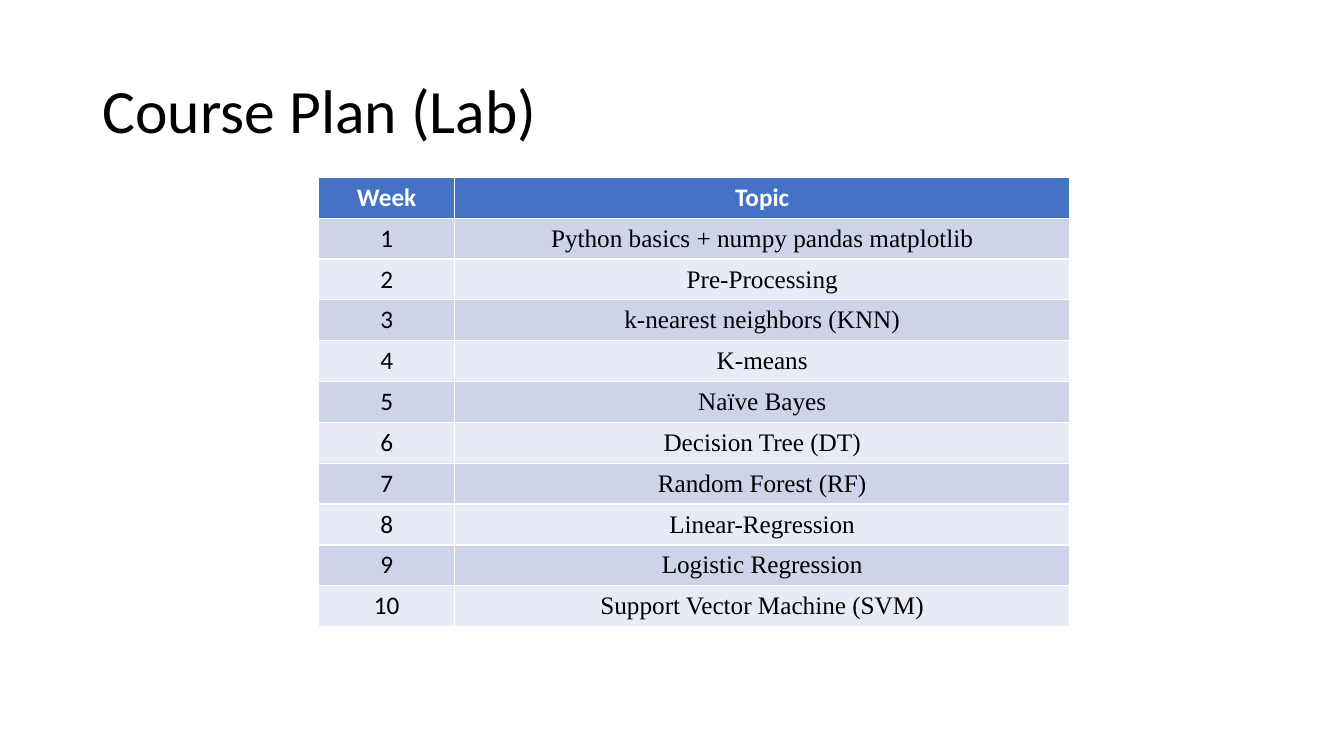
from pptx import Presentation
from pptx.dml.color import RGBColor
from pptx.enum.text import MSO_ANCHOR, PP_ALIGN
from pptx.util import Inches, Pt

TOPICS = [
    "Python basics + numpy pandas matplotlib",
    "Pre-Processing",
    "k-nearest neighbors (KNN)",
    "K-means",
    "Naïve Bayes",
    "Decision Tree (DT)",
    "Random Forest (RF)",
    "Linear-Regression",
    "Logistic Regression",
    "Support Vector Machine (SVM)",
]


def rgb(value):
    return RGBColor.from_string(value)


class SlideBuilder:
    sans = "Calibri"
    serif = "Times New Roman"
    black = "000000"
    white = "FFFFFF"
    header = "4472C4"
    bands = ("CDD4EA", "E8EBF5")

    def __init__(self, slide):
        self.slide = slide

    def add_text(self, tf, text, color, para, **font):
        p = tf.paragraphs[0]
        r = p.add_run()
        r.text = text
        for target, values in ((p, para), (r.font, font)):
            for name, value in values.items():
                setattr(target, name, value)
        r.font.color.rgb = rgb(color)

    def title(self, text, left, top, width, height):
        sp = self.slide.shapes.add_textbox(
            Inches(left), Inches(top), Inches(width), Inches(height))
        tf = sp.text_frame
        tf.word_wrap = True
        tf.vertical_anchor = MSO_ANCHOR.MIDDLE
        self.add_text(tf, text, self.black, {"line_spacing": 0.9},
                      name=self.sans, size=Pt(44))

    def cell(self, cell, text, fill, color, **font):
        cell.vertical_anchor = MSO_ANCHOR.MIDDLE
        cell.fill.solid()
        cell.fill.fore_color.rgb = rgb(fill)
        self.add_text(cell.text_frame, text, color,
                      {"alignment": PP_ALIGN.CENTER}, size=Pt(18), **font)

    def table(self, headings, rows, left, top, widths, height):
        table = self.slide.shapes.add_table(
            len(rows) + 1, len(headings), Inches(left), Inches(top),
            Inches(sum(widths)), Inches(height)).table
        for column, width in zip(table.columns, widths):
            column.width = Inches(width)
        for c, heading in enumerate(headings):
            self.cell(table.cell(0, c), heading, self.header, self.white,
                      name=self.sans, bold=True)
        for i, row in enumerate(rows):
            for c, (text, font) in enumerate(zip(row, (self.sans, self.serif))):
                self.cell(table.cell(i + 1, c), text, self.bands[i % 2],
                          self.black, name=font, bold=False)


def main():
    prs = Presentation()
    prs.slide_width = Inches(13.33)
    prs.slide_height = Inches(7.5)
    s = SlideBuilder(prs.slides.add_slide(prs.slide_layouts[6]))
    s.title("Course Plan (Lab)", 0.92, 0.4, 11.5, 1.45)
    weeks = [(str(week), topic) for week, topic in enumerate(TOPICS, 1)]
    s.table(("Week", "Topic"), weeks, 3.16, 1.76, (1.35, 6.1), 4.46)
    prs.save("out.pptx")


if __name__ == "__main__":
    main()
